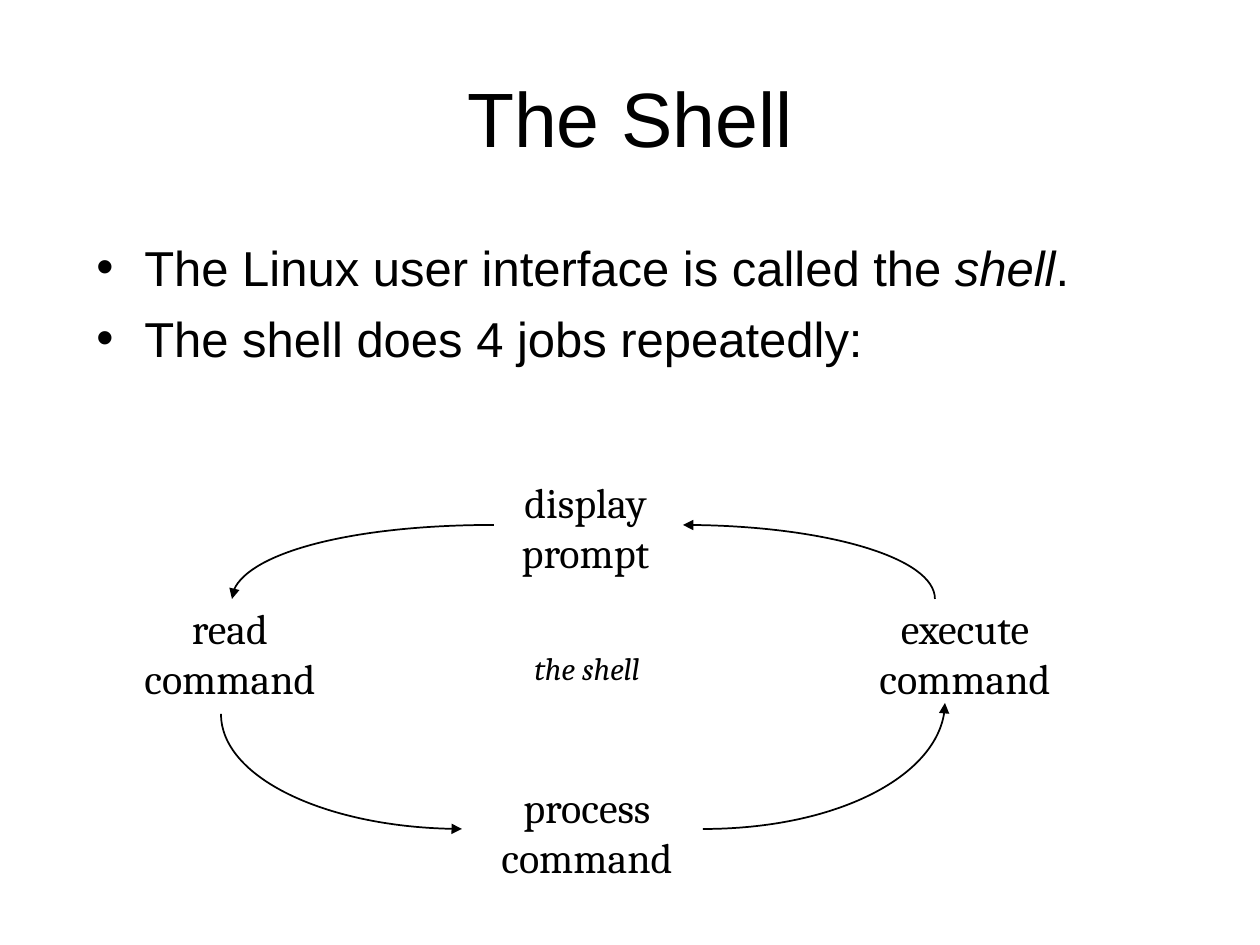
import pptx
import pptx.dml.color
import pptx.enum.text
import pptx.oxml
import pptx.oxml.ns
import pptx.util
from lxml import etree

SCALE = 914400 / 126
THEME = {
    "ink": pptx.dml.color.RGBColor(0, 0, 0),
    "sans": "Arial",
    "serif": "Cambria",
    "title": 44,
    "body": 28,
    "step": 24,
    "caption": 18,
    "line": 1,
}
TITLE = "The Shell"
BULLETS = [
    [("The Linux user interface is called the ", False), ("shell", True), (".", False)],
    [("The shell does 4 jobs repeatedly:", False)],
]
STEPS = [
    (["display", "prompt"], (498, 470, 175, 113)),
    (["execute", "command"], (852, 596, 226, 113)),
    (["process", "command"], (474, 775, 226, 113)),
    (["read", "command"], (117, 596, 226, 113)),
]
CAPTION = "the shell"
ARROWS = [
    {"tip": (683, 525), "origin": (935, 599), "tip_level": True},
    {"tip": (232, 599), "origin": (494, 525), "tip_level": False},
    {"tip": (462, 829), "origin": (221, 714), "tip_level": True},
    {"tip": (945, 703), "origin": (703, 829), "tip_level": False},
]
CURVE = 0.55


def px(value):
    return round(value * SCALE)


def add_text(slide, box, paragraphs, font, size, align="LEFT", anchor="TOP", wrap=False):
    shape = slide.shapes.add_textbox(*map(px, box))
    frame = shape.text_frame
    frame.word_wrap = wrap
    frame.vertical_anchor = getattr(pptx.enum.text.MSO_ANCHOR, anchor)
    for index, runs in enumerate(paragraphs):
        paragraph = frame.paragraphs[0] if index == 0 else frame.add_paragraph()
        paragraph.alignment = getattr(pptx.enum.text.PP_ALIGN, align)
        for text, italic in runs:
            run = paragraph.add_run()
            run.text = text
            run.font.name = font
            run.font.size = pptx.util.Pt(size)
            run.font.italic = italic
            run.font.color.rgb = THEME["ink"]
    return frame


def add_bullets(frame):
    for index, paragraph in enumerate(frame.paragraphs):
        if index:
            paragraph.space_before = pptx.util.Pt(7)
        properties = paragraph._p.get_or_add_pPr()
        properties.set("marL", str(px(48)))
        properties.set("indent", str(px(-48)))
        font = etree.SubElement(properties, pptx.oxml.ns.qn("a:buFont"))
        font.set("typeface", THEME["sans"])
        bullet = etree.SubElement(properties, pptx.oxml.ns.qn("a:buChar"))
        bullet.set("char", "•")


def add_arrow(slide, tip, origin, tip_level):
    corner = (origin[0], tip[1]) if tip_level else (tip[0], origin[1])
    controls = [
        [point + CURVE * (bend - point) for point, bend in zip(end, corner)]
        for end in (tip, origin)
    ]
    builder = slide.shapes.build_freeform(*tip, scale=SCALE)
    builder.add_line_segments([origin], close=False)
    shape = builder.convert_to_shape()
    shape.shadow.inherit = False
    shape.fill.background()
    shape.line.color.rgb = THEME["ink"]
    shape.line.width = pptx.util.Pt(THEME["line"])

    segment = shape._element.find(".//" + pptx.oxml.ns.qn("a:lnTo"))
    segment.tag = pptx.oxml.ns.qn("a:cubicBezTo")
    left, top = min(tip[0], origin[0]), min(tip[1], origin[1])
    for index, (x, y) in enumerate(controls):
        point = etree.Element(pptx.oxml.ns.qn("a:pt"))
        point.set("x", str(round(x - left)))
        point.set("y", str(round(y - top)))
        segment.insert(index, point)

    head = etree.SubElement(shape.line._get_or_add_ln(), pptx.oxml.ns.qn("a:headEnd"))
    head.set("type", "triangle")


def main():
    presentation = pptx.Presentation()
    presentation.slide_width = px(1260)
    presentation.slide_height = px(945)
    slide = presentation.slides.add_slide(presentation.slide_layouts[6])

    add_text(slide, (63, 38, 1134, 157), [[(TITLE, False)]],
             THEME["sans"], THEME["title"], "CENTER", "MIDDLE", True)
    body = add_text(slide, (84, 231, 1071, 199), BULLETS,
                    THEME["sans"], THEME["body"], wrap=True)
    add_bullets(body)
    for lines, box in STEPS:
        add_text(slide, box, [[(line, False)] for line in lines],
                 THEME["serif"], THEME["step"], "CENTER")
    for arrow in ARROWS:
        add_arrow(slide, **arrow)
    add_text(slide, (522, 643, 147, 50), [[(CAPTION, True)]],
             THEME["serif"], THEME["caption"])
    presentation.save("out.pptx")


if __name__ == "__main__":
    main()
